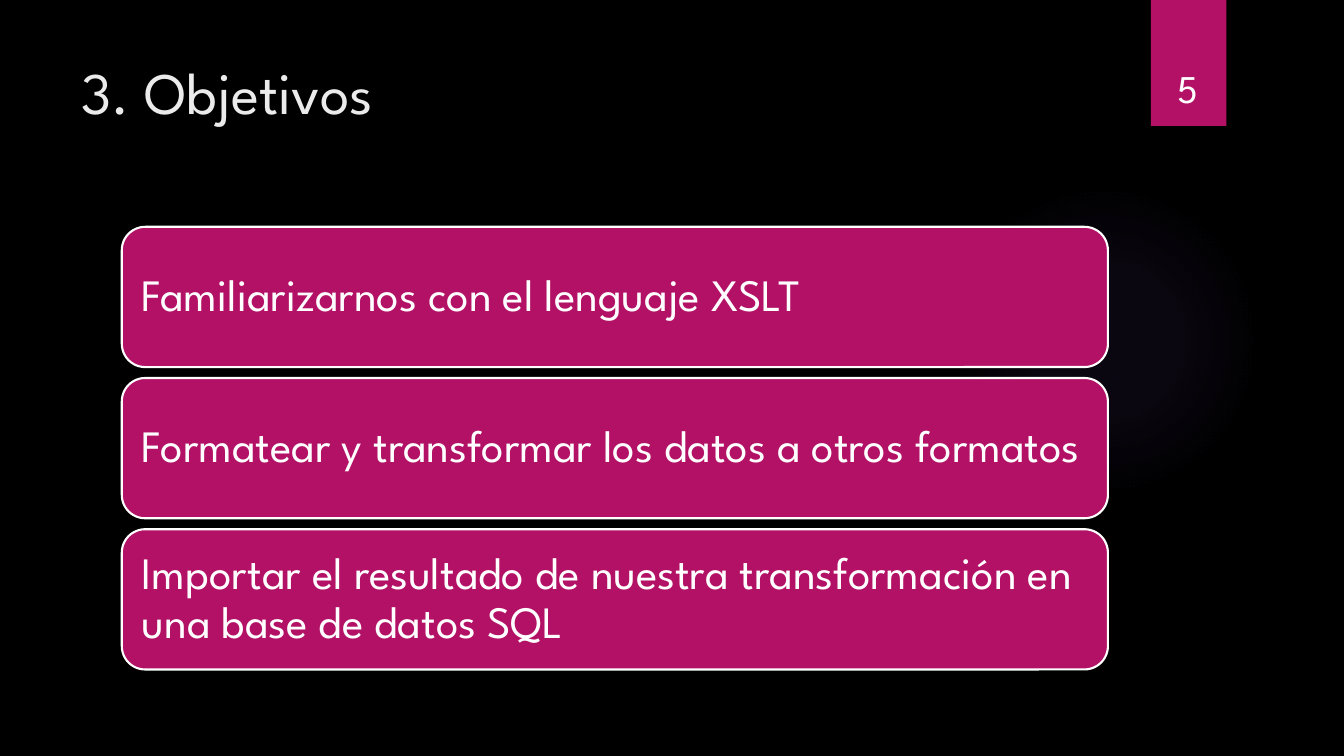
from dataclasses import dataclass

from pptx import Presentation
from pptx.dml.color import RGBColor
from pptx.enum.shapes import MSO_SHAPE
from pptx.enum.text import MSO_ANCHOR, PP_ALIGN
from pptx.oxml import parse_xml
from pptx.util import Inches, Pt

ELLIPSE, RECTANGLE, ROUNDED = MSO_SHAPE.OVAL, MSO_SHAPE.RECTANGLE, MSO_SHAPE.ROUNDED_RECTANGLE
TOP, MIDDLE, BOTTOM = MSO_ANCHOR.TOP, MSO_ANCHOR.MIDDLE, MSO_ANCHOR.BOTTOM
LEFT, CENTER = PP_ALIGN.LEFT, PP_ALIGN.CENTER
DRAWING = "http://schemas.openxmlformats.org/drawingml/2006/main"
TITLE_ONLY = 5
COLUMNS, ROWS = 160, 90


@dataclass(frozen=True)
class Theme:
    font: str = "League Spartan"
    background: str = "000000"
    accent: str = "B31166"
    glow: str = "9B6BF2"
    title: str = "EBEBEB"
    text: str = "FFFFFF"
    title_size: int = 42
    card_size: int = 32
    number_size: int = 28


class SlideBuilder:
    def __init__(self, presentation, theme):
        self.theme = theme
        self.column = presentation.slide_width / COLUMNS
        self.row = presentation.slide_height / ROWS
        self.slide = presentation.slides.add_slide(presentation.slide_layouts[TITLE_ONLY])
        fill = self.slide.background.fill
        fill.solid()
        fill.fore_color.rgb = RGBColor.from_string(theme.background)

    def box(self, left, top, width, height):
        return (round(left * self.column), round(top * self.row),
                round(width * self.column), round(height * self.row))

    def set_text(self, shape, text, size, color, align, frame_format, line_spacing=1.0):
        frame = shape.text_frame
        for name, value in {"word_wrap": True, **frame_format}.items():
            setattr(frame, name, value)
        paragraph = frame.paragraphs[0]
        paragraph.text = text
        paragraph.alignment = align
        paragraph.line_spacing = line_spacing
        font = paragraph.runs[0].font
        for name, value in {"name": self.theme.font, "size": Pt(size)}.items():
            setattr(font, name, value)
        font.color.rgb = RGBColor.from_string(color)

    def add_title(self, text, *area):
        title = self.slide.shapes.title
        for name, value in zip(("left", "top", "width", "height"), self.box(*area)):
            setattr(title, name, value)
        self.set_text(title, text, self.theme.title_size, self.theme.title, LEFT,
                      {"vertical_anchor": TOP})

    def add_block(self, kind, *area):
        block = self.slide.shapes.add_shape(kind, *self.box(*area))
        block.shadow.inherit = False
        block.fill.solid()
        block.fill.fore_color.rgb = RGBColor.from_string(self.theme.accent)
        block.line.fill.background()
        return block

    def add_glow(self, *area):
        glow = self.add_block(ELLIPSE, *area)
        stops = "".join(
            f'<a:gs pos="{position * 1000}"><a:srgbClr val="{self.theme.glow}">'
            f'<a:alpha val="{opacity * 1000}"/></a:srgbClr></a:gs>'
            for position, opacity in ((0, 7), (36, 6), (69, 0), (100, 0)))
        gradient = parse_xml(
            f'<a:gradFill xmlns:a="{DRAWING}"><a:gsLst>{stops}</a:gsLst><a:path path="circle">'
            '<a:fillToRect l="50000" t="50000" r="50000" b="50000"/></a:path></a:gradFill>')
        solid = glow.element.spPr.find(f"{{{DRAWING}}}solidFill")
        solid.getparent().replace(solid, gradient)

    def add_card(self, text, *area):
        card = self.add_block(ROUNDED, *area)
        card.line.color.rgb = RGBColor.from_string(self.theme.text)
        card.line.width = Pt(1.5)
        margins = {f"margin_{side}": Inches(0.13) for side in ("left", "top", "right", "bottom")}
        self.set_text(card, text, self.theme.card_size, self.theme.text, LEFT,
                      {"vertical_anchor": MIDDLE, **margins}, line_spacing=0.9)

    def add_number(self, text, *area):
        number = self.slide.shapes.add_textbox(*self.box(*area))
        self.set_text(number, text, self.theme.number_size, self.theme.text, CENTER,
                      {"vertical_anchor": BOTTOM})


def main():
    presentation = Presentation()
    presentation.slide_width, presentation.slide_height = Inches(13.33), Inches(7.5)
    builder = SlideBuilder(presentation, Theme())

    # Backdrop and page tab
    builder.add_glow(112.9, 22, 37, 37)
    builder.add_block(RECTANGLE, 137, 0, 9, 15)

    # Heading
    builder.add_title("3. Objetivos", 8.5, 6, 123.5, 18.4)

    # Objective cards
    objectives = (
        "Familiarizarnos con el lenguaje XSLT",
        "Formatear y transformar los datos a otros formatos",
        "Importar el resultado de nuestra transformación en una base de datos SQL",
    )
    first_row, card_pitch = 27, 18
    for index, objective in enumerate(objectives):
        builder.add_card(objective, 14.5, first_row + index * card_pitch, 117.4, 16.7)

    # Page number
    builder.add_number("5", 135.9, 3.8, 11, 10.1)

    presentation.save("out.pptx")


if __name__ == "__main__":
    main()
